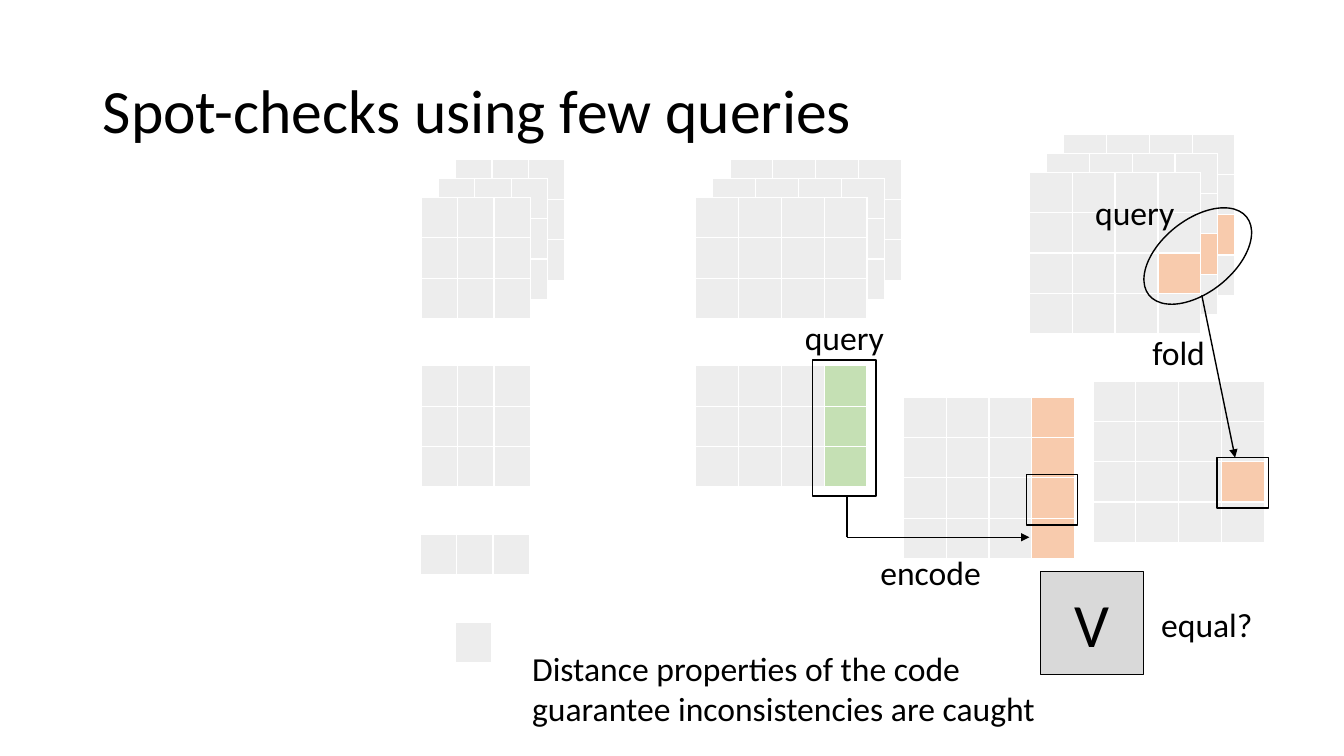
from lxml.etree import SubElement
from pptx import Presentation
from pptx.dml.color import RGBColor
from pptx.enum.shapes import MSO_CONNECTOR, MSO_SHAPE
from pptx.enum.text import MSO_ANCHOR, PP_ALIGN
from pptx.oxml import parse_xml
from pptx.oxml.ns import nsdecls, qn
from pptx.util import Inches, Pt

BLACK = RGBColor(0x00, 0x00, 0x00)
GREY = RGBColor(0xD9, 0xD9, 0xD9)
PALE = RGBColor(0xED, 0xED, 0xED)
PEACH = RGBColor(0xF8, 0xCB, 0xAD)
GREEN = RGBColor(0xC5, 0xE0, 0xB4)
FILLS = {".": PALE, "o": PEACH, "g": GREEN}
FONT = "Calibri"

TITLE = "Spot-checks using few queries"

# Cell patterns: one string per row, one letter per cell
MESSAGE = ["..."] * 3
ROW = ["..."]
CELL = ["."]
CODE = ["...."] * 3
CHECKED = ["...g"] * 3
FULL = ["....", "....", "...o", "...."]
BEHIND = ["....", "....", "oooo", "ooo."]
ENCODED = ["...o"] * 4

# Front left, front top, column width, front pattern, pattern of the layers behind
STACKS = [
    (4.18, 1.96, 0.36, MESSAGE, MESSAGE),
    (6.9, 1.96, 0.425, CODE, CODE),
    (10.21, 1.71, 0.425, FULL, BEHIND),
]
LAYERS, STEP_X, STEP_Y = 3, 0.17, -0.19
ROW_H = 0.4

# Left, top, column width, pattern
GRIDS = [
    (4.18, 3.63, 0.36, MESSAGE),
    (4.17, 5.3, 0.36, ROW),
    (4.52, 6.17, 0.36, CELL),
    (6.9, 3.63, 0.425, CHECKED),
    (10.84, 3.78, 0.425, FULL),
    (8.96, 3.94, 0.425, ENCODED),
]

# Start, end, arrowhead
LINES = [
    ((11.92, 2.93), (12.25, 4.54), True),
    ((8.4, 5.33), (10.21, 5.33), True),
    ((8.4, 5.33), (8.4, 4.92), False),
]

# Preset, box, rotation
FRAMES = [
    (MSO_SHAPE.RECTANGLE, (8.06, 3.57, 0.63, 1.35), 0),
    (MSO_SHAPE.OVAL, (11.26, 2.18, 1.24, 0.72), 321.4),
    (MSO_SHAPE.RECTANGLE, (12.07, 4.54, 0.51, 0.5), 0),
    (MSO_SHAPE.RECTANGLE, (10.18, 4.71, 0.51, 0.5), 0),
]
VERIFIER = (10.32, 5.67, 1.02, 1.02)

LABELS = [
    ("fold", (10.97, 3.24, 1.44, 0.5), PP_ALIGN.CENTER),
    ("encode", (8.51, 5.43, 1.44, 0.5), PP_ALIGN.CENTER),
    ("query", (10.64, 1.85, 1.23, 0.5), PP_ALIGN.CENTER),
    ("query", (7.76, 3.09, 1.23, 0.5), PP_ALIGN.CENTER),
    ("equal?", (11.2, 5.94, 1.54, 0.5), PP_ALIGN.CENTER),
    ("Distance properties of the code guarantee inconsistencies are caught",
     (5.18, 6.38, 5.37, 0.91), PP_ALIGN.LEFT),
]


def inches(*values):
    return [Inches(v) for v in values]


def write(frame, text, size, align):
    frame.word_wrap = True
    para = frame.paragraphs[0]
    para.alignment = align
    run = para.add_run()
    run.text = text
    run.font.name = FONT
    run.font.size = Pt(size)
    run.font.color.rgb = BLACK
    return para


def edge(cell):
    """Give a cell thin white borders."""
    props = cell._tc.get_or_add_tcPr()
    for place, side in enumerate(("lnL", "lnR", "lnT", "lnB")):
        props.insert(place, parse_xml(
            f'<a:{side} {nsdecls("a")} w="12700"><a:solidFill>'
            f'<a:srgbClr val="FFFFFF"/></a:solidFill></a:{side}>'))


def add_grid(shapes, left, top, col_w, pattern):
    rows, cols = len(pattern), len(pattern[0])
    box = inches(left, top, col_w * cols, ROW_H * rows)
    table = shapes.add_table(rows, cols, *box).table
    for col in table.columns:
        col.width = Inches(col_w)
    for r, marks in enumerate(pattern):
        table.rows[r].height = Inches(ROW_H)
        for c, mark in enumerate(marks):
            cell = table.cell(r, c)
            cell.margin_top = cell.margin_bottom = 0
            cell.fill.solid()
            cell.fill.fore_color.rgb = FILLS[mark]
            edge(cell)


def add_frame(shapes, preset, box, turn=0, fill=None):
    shape = shapes.add_shape(preset, *inches(*box))
    shape.shadow.inherit = False
    shape.rotation = turn
    if fill is None:
        shape.fill.background()
    else:
        shape.fill.solid()
        shape.fill.fore_color.rgb = fill
    shape.line.color.rgb = BLACK
    shape.line.width = Pt(1)
    return shape


def add_line(shapes, start, end, arrow):
    line = shapes.add_connector(MSO_CONNECTOR.STRAIGHT, *inches(*start, *end))
    line.line.color.rgb = BLACK
    line.line.width = Pt(1)
    if arrow:
        SubElement(line.line._get_or_add_ln(), qn("a:tailEnd"), type="triangle")
    SubElement(line._element.spPr, qn("a:effectLst"))


def main():
    prs = Presentation()
    prs.slide_width, prs.slide_height = inches(13.33, 7.5)
    slide = prs.slides.add_slide(prs.slide_layouts[5])
    shapes = slide.shapes

    title = shapes.title
    title.left, title.top, title.width, title.height = inches(0.92, 0.4, 11.5, 1.45)
    title.text_frame.vertical_anchor = MSO_ANCHOR.MIDDLE
    write(title.text_frame, TITLE, 44, PP_ALIGN.LEFT).line_spacing = 0.9

    for left, top, col_w, front, behind in STACKS:
        for depth in reversed(range(LAYERS)):
            add_grid(shapes, left + depth * STEP_X, top + depth * STEP_Y,
                     col_w, behind if depth else front)
    for grid in GRIDS:
        add_grid(shapes, *grid)
    for line in LINES:
        add_line(shapes, *line)
    for frame in FRAMES:
        add_frame(shapes, *frame)

    verifier = add_frame(shapes, MSO_SHAPE.RECTANGLE, VERIFIER, fill=GREY)
    verifier.text_frame.vertical_anchor = MSO_ANCHOR.MIDDLE
    write(verifier.text_frame, "V", 44, PP_ALIGN.CENTER)

    for text, box, align in LABELS:
        write(shapes.add_textbox(*inches(*box)).text_frame, text, 24, align)

    prs.save("out.pptx")


if __name__ == "__main__":
    main()
